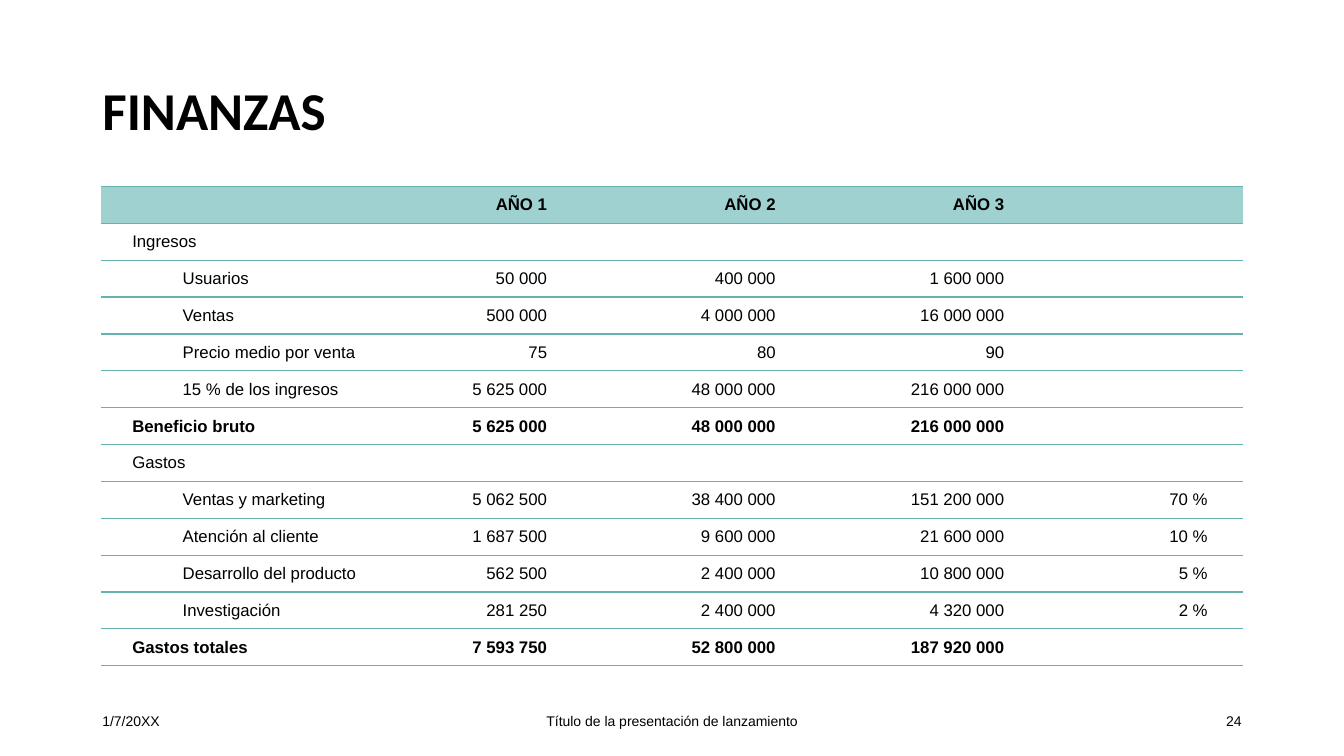
"""Build the finance slide: a three-year table of income and expenses."""
from lxml.etree import SubElement
from pptx import Presentation
from pptx.dml.color import RGBColor
from pptx.enum.text import MSO_ANCHOR, MSO_AUTO_SIZE, PP_ALIGN
from pptx.oxml.ns import qn
from pptx.util import Pt

BLACK = RGBColor(0x00, 0x00, 0x00)
TEAL = RGBColor(0x66, 0xB2, 0xB0)
PALE_TEAL = RGBColor(0x9F, 0xD1, 0xD0)

HEADER, GROUP, ITEM, TOTAL = "header", "group", "item", "total"
FINANCES = [
    (HEADER, "", "AÑO 1", "AÑO 2", "AÑO 3", ""),
    (GROUP, "Ingresos", "", "", "", ""),
    (ITEM, "Usuarios", "50 000", "400 000", "1 600 000", ""),
    (ITEM, "Ventas", "500 000", "4 000 000", "16 000 000", ""),
    (ITEM, "Precio medio por venta", "75", "80", "90", ""),
    (ITEM, "15 % de los ingresos", "5 625 000", "48 000 000", "216 000 000", ""),
    (TOTAL, "Beneficio bruto", "5 625 000", "48 000 000", "216 000 000", ""),
    (GROUP, "Gastos", "", "", "", ""),
    (ITEM, "Ventas y marketing", "5 062 500", "38 400 000", "151 200 000", "70 %"),
    (ITEM, "Atención al cliente", "1 687 500", "9 600 000", "21 600 000", "10 %"),
    (ITEM, "Desarrollo del producto", "562 500", "2 400 000", "10 800 000", "5 %"),
    (ITEM, "Investigación", "281 250", "2 400 000", "4 320 000", "2 %"),
    (TOTAL, "Gastos totales", "7 593 750", "52 800 000", "187 920 000", ""),
]
COLUMN_WIDTHS = [212.4, 113.6, 163.3, 163.3, 163.3]
ROW_HEIGHT = 26.35
FOOTER = [
    (66, 216, PP_ALIGN.LEFT, "1/7/20XX"),
    (318, 324, PP_ALIGN.CENTER, "Título de la presentación de lanzamiento"),
    (678, 216, PP_ALIGN.RIGHT, "24"),
]


def write(paragraph, text, size, bold=False, font="Arial"):
    run = paragraph.add_run()
    run.text = text
    run.font.name = font
    run.font.size = Pt(size)
    run.font.bold = bold
    run.font.color.rgb = BLACK


def rule_cell(cell):
    properties = cell._tc.get_or_add_tcPr()
    for side in ("a:lnL", "a:lnR"):
        SubElement(SubElement(properties, qn(side), w="0"), qn("a:noFill"))
    for side in ("a:lnT", "a:lnB"):
        line = SubElement(properties, qn(side), w=str(Pt(1)))
        SubElement(SubElement(line, qn("a:solidFill")), qn("a:srgbClr"), val=str(TEAL))


deck = Presentation()
deck.slide_width, deck.slide_height = Pt(960), Pt(540)
slide = deck.slides.add_slide(deck.slide_layouts[5])

title = slide.shapes.title
title.left, title.top, title.width, title.height = Pt(66), Pt(28.8), Pt(828), Pt(104.4)
title.text_frame.auto_size = MSO_AUTO_SIZE.NONE
title.text_frame.vertical_anchor = MSO_ANCHOR.MIDDLE
heading = title.text_frame.paragraphs[0]
heading.alignment = PP_ALIGN.LEFT
heading.line_spacing = 0.9
write(heading, "FINANZAS", 38, True, "Calibri")

finances = slide.shapes.add_table(
    len(FINANCES), len(COLUMN_WIDTHS), Pt(72), Pt(133.2),
    Pt(sum(COLUMN_WIDTHS)), Pt(ROW_HEIGHT * len(FINANCES))).table
finances.first_row = finances.horz_banding = False
for column, width in zip(finances.columns, COLUMN_WIDTHS):
    column.width = Pt(width)

for row, (kind, *entries) in zip(finances.rows, FINANCES):
    row.height = Pt(ROW_HEIGHT)
    for position, (cell, entry) in enumerate(zip(row.cells, entries)):
        cell.vertical_anchor = MSO_ANCHOR.MIDDLE
        rule_cell(cell)
        if kind == HEADER:
            cell.fill.solid()
            cell.fill.fore_color.rgb = PALE_TEAL
        else:
            cell.fill.background()
        line = cell.text_frame.paragraphs[0]
        if position == 0:
            cell.margin_left = Pt(22.5)
            if kind == ITEM:
                line.level = 1
                line._p.get_or_add_pPr().set("marL", str(Pt(36)))
        else:
            line.alignment = PP_ALIGN.RIGHT
            if position == 4:
                cell.margin_right = Pt(25.2)
        if entry:
            write(line, entry, 12, kind in (HEADER, TOTAL))
        else:
            SubElement(line._p, qn("a:endParaRPr"), sz="1200")

for left, width, alignment, text in FOOTER:
    note = slide.shapes.add_textbox(Pt(left), Pt(500.5), Pt(width), Pt(28.8)).text_frame
    note.word_wrap = True
    note.vertical_anchor = MSO_ANCHOR.MIDDLE
    note.paragraphs[0].alignment = alignment
    write(note.paragraphs[0], text, 10)

deck.save("out.pptx")
